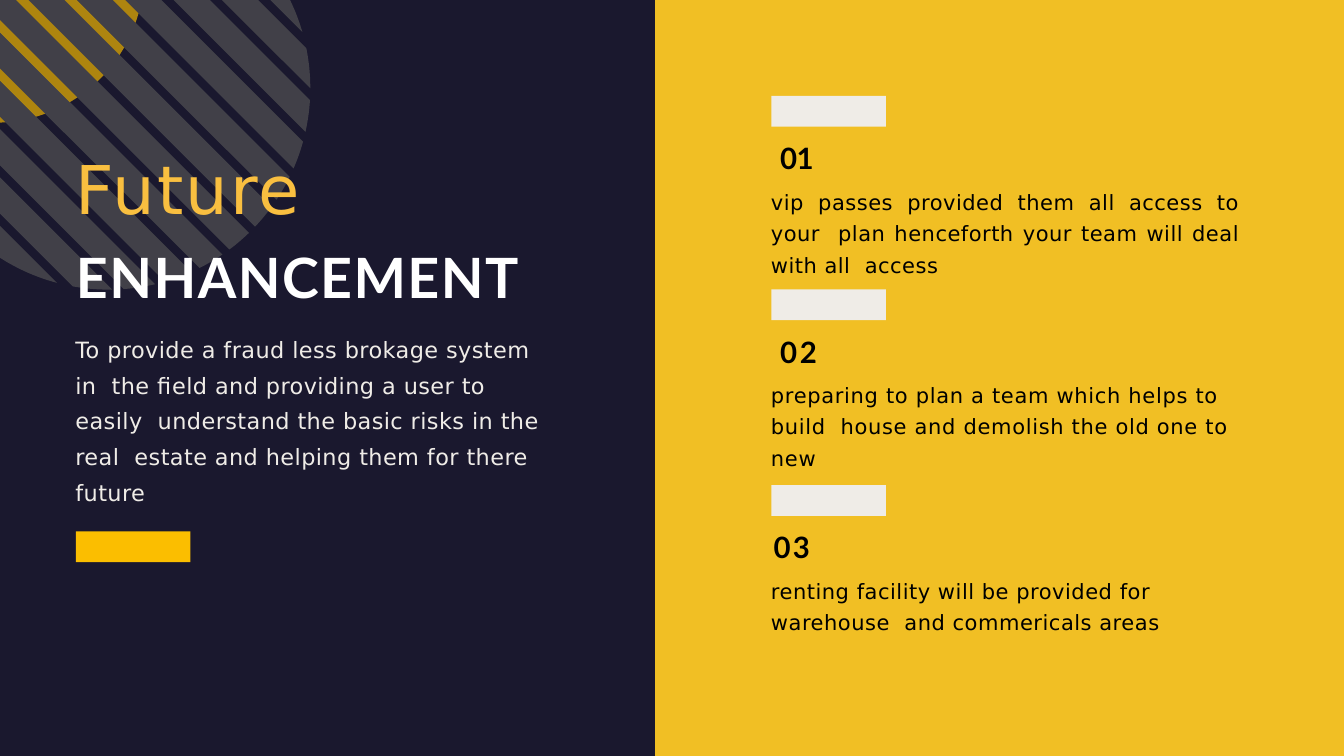
from math import sqrt

from lxml import etree
from pptx import Presentation
from pptx.dml.color import RGBColor
from pptx.enum.shapes import MSO_SHAPE
from pptx.enum.text import MSO_ANCHOR, MSO_AUTO_SIZE, PP_ALIGN
from pptx.oxml.ns import qn
from pptx.util import Cm, Pt

NAVY, GOLD, AMBER, HONEY = "1A182E", "F1BF24", "FBBE00", "F9BF40"
GREY, CREAM, WHITE, BLACK = "565656", "EFECE7", "FFFFFF", "000000"
HEADING, BODY = "Lato", "DejaVu Sans"
STRIPE_PERIOD = 1.83
ARC_STEPS = 12


def paint(fill, color, alpha=None):
    """Fill with a solid hex colour; alpha is the opacity in percent."""
    fill.solid()
    fill.fore_color.rgb = RGBColor.from_string(color)
    if alpha is not None:
        clr = fill._xPr.find(qn("a:solidFill"))[0]
        etree.SubElement(clr, qn("a:alpha")).set("val", str(alpha * 1000))


def finish(sp, color, alpha=None):
    paint(sp.fill, color, alpha)
    sp.line.fill.background()
    sp.shadow.inherit = False


def add_bar(s, left, top, width, height, color):
    finish(s.shapes.add_shape(MSO_SHAPE.RECTANGLE, Cm(left), Cm(top),
                              Cm(width), Cm(height)), color)


def add_tag(s, left, top, color):
    add_bar(s, left, top, 4.33, 1.16, color)


def stripe_outline(cx, cy, r, low, high):
    """Outline of the band low <= x - y <= high inside a disc and the slide."""
    low = max(low, -(cy + sqrt(r * r - cx * cx)))
    high = min(high, cx + sqrt(r * r - cy * cy))

    def edge_point(c):
        return max(c, 0), max(-c, 0)

    def arc_point(c):
        k = c + cy - cx
        y = cy + (sqrt(2 * r * r - k * k) - k) / 2
        return y + c, y

    corner = [(0, 0)] if low < 0 < high else []
    arc = [arc_point(high + (low - high) * i / ARC_STEPS)
           for i in range(ARC_STEPS + 1)]
    points = [edge_point(low), *corner, edge_point(high), *arc]
    return [(Cm(x), Cm(y)) for x, y in points]


def add_striped_disc(s, cx, cy, r, first, width, count, color):
    outlines = [stripe_outline(cx, cy, r, low, low + width)
                for low in (first + i * STRIPE_PERIOD for i in range(count))]
    builder = s.shapes.build_freeform(*outlines[0][0])
    for i, outline in enumerate(outlines):
        if i:
            builder.move_to(*outline[0])
        builder.add_line_segments(outline[1:], close=True)
    finish(builder.convert_to_shape(), color, alpha=66)


def setup_frame(sp, top_inset):
    tf = sp.text_frame
    tf.word_wrap = True
    tf.auto_size = MSO_AUTO_SIZE.SHAPE_TO_FIT_TEXT
    tf.vertical_anchor = MSO_ANCHOR.TOP
    tf.margin_left = tf.margin_right = tf.margin_bottom = 0
    tf.margin_top = Cm(top_inset)
    return tf


def add_box(s, left, top, width, height, top_inset=0.05):
    return setup_frame(s.shapes.add_textbox(Cm(left), Cm(top), Cm(width),
                                            Cm(height)), top_inset)


def write(p, text, size, color, font=BODY, bold=False, spacing=0.0,
          indent=0.03, before=0, line=None, align=PP_ALIGN.LEFT):
    p.alignment = align
    p.space_before = Pt(before)
    if line:
        p.line_spacing = line
    p._p.get_or_add_pPr().set("marL", str(Cm(indent)))
    r = p.add_run()
    r.text = text
    r.font.size, r.font.name, r.font.bold = Pt(size), font, bold
    paint(r.font.fill, color)
    r._r.get_or_add_rPr().set("spc", str(round(spacing * 100)))


def add_title(s, text):
    sp = s.shapes.title
    sp.left, sp.top, sp.width, sp.height = Cm(2.84), Cm(5.51), Cm(8.81), Cm(3.12)
    write(setup_frame(sp, 0.05).paragraphs[0], text, 72, HONEY, spacing=2.1)
    s.shapes._spTree.append(sp._element)  # in front of the discs


def add_summary(s):
    tf = add_box(s, 2.82, 9.14, 17.86, 8.66)
    write(tf.paragraphs[0], "ENHANCEMENT", 59.5, WHITE, HEADING, True,
          spacing=1.6, indent=0.05)
    write(tf.add_paragraph(),
          "To provide a fraud less brokage system in  the field and providing "
          "a user to easily  understand the basic risks in the real  estate "
          "and helping them for there future",
          24, CREAM, spacing=0.45, before=18.8, line=1.33)


def add_point(s, top, width, number, text, number_spacing, number_indent,
              spacing, align=PP_ALIGN.LEFT):
    add_tag(s, 29.16, top, CREAM)
    tf = add_box(s, 29.11, top + 0.94, width, 4.75, top_inset=0.74)
    write(tf.paragraphs[0], number, 31.5, BLACK, HEADING, True,
          spacing=number_spacing, indent=number_indent)
    write(tf.add_paragraph(), text, 22.5, BLACK, spacing=spacing,
          before=7.5, line=1.25, align=align)


def main():
    prs = Presentation()
    prs.slide_width, prs.slide_height = Cm(50.8), Cm(28.58)
    s = prs.slides.add_slide(prs.slide_layouts[5])
    paint(s.background.fill, NAVY)

    add_bar(s, 24.76, 0, 26.04, 28.58, GOLD)
    add_striped_disc(s, 4.11, 3.33, 7.62, first=-9.91, width=1.37, count=12,
                     color=GREY)
    add_striped_disc(s, -0.23, -1.04, 5.68, first=-4.88, width=0.46, count=6,
                     color=AMBER)
    add_title(s, "Future")
    add_summary(s)
    add_tag(s, 2.87, 20.09, AMBER)

    add_point(s, 3.63, 17.75, "01",
              "vip passes provided them all access to your  plan henceforth "
              "your team will deal with all  access",
              -0.6, 0.38, 0.5, PP_ALIGN.JUSTIFY)
    add_point(s, 10.94, 18.72, "02",
              "preparing to plan a team which helps to build  house and "
              "demolish the old one to new",
              2.8, 0.38, 0.7)
    add_point(s, 18.34, 18.75, "03",
              "renting facility will be provided for warehouse  and "
              "commericals areas",
              2.5, 0.13, 0.55)
    prs.save("out.pptx")


if __name__ == "__main__":
    main()
